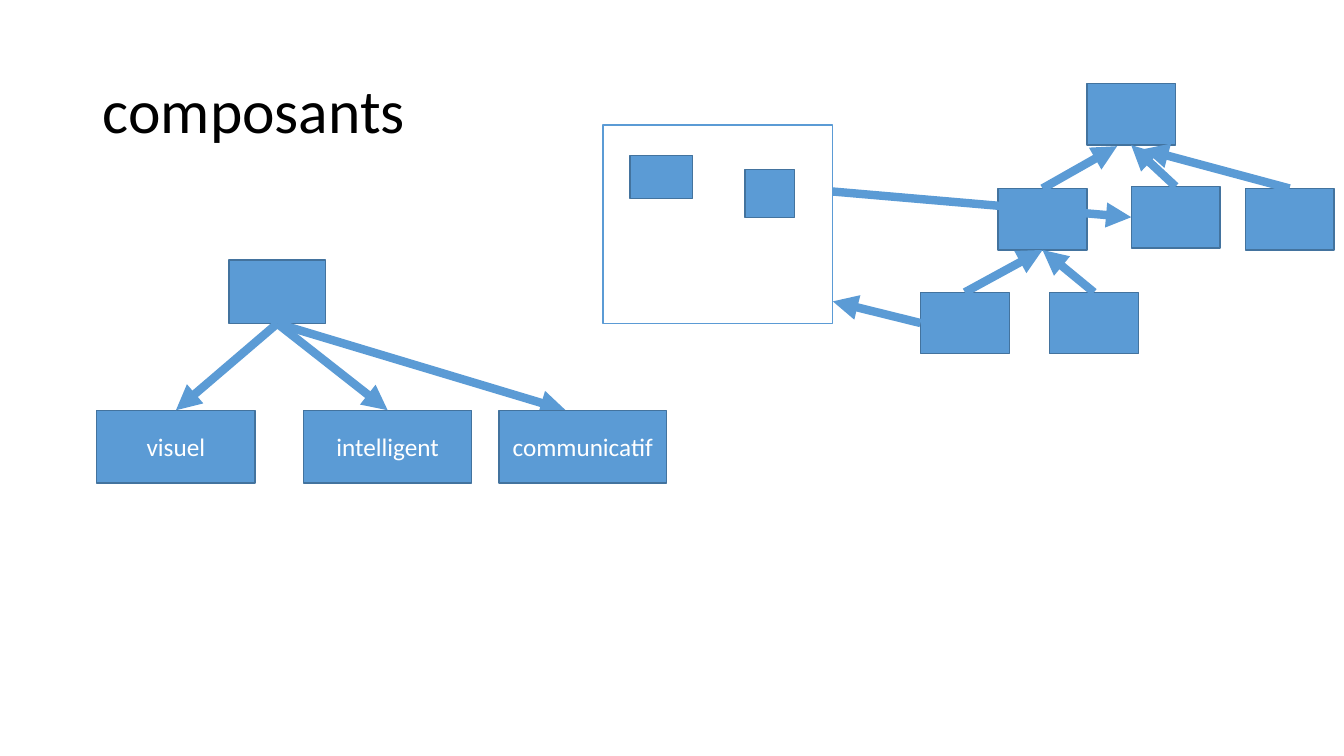
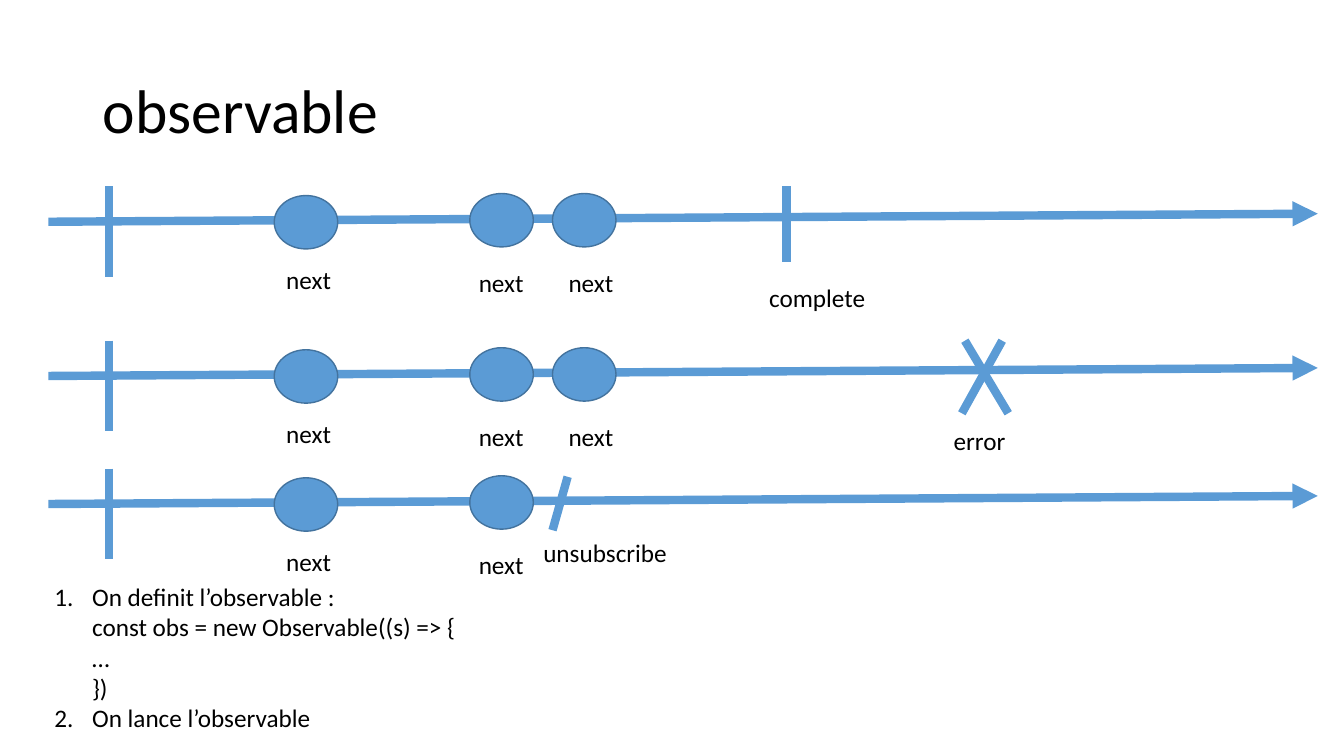
"""Build two slides: a component tree and observable timelines."""
from dataclasses import dataclass
from typing import NamedTuple, Optional, Union

import pptx
import pptx.dml.color
import pptx.enum.shapes
import pptx.enum.text
import pptx.oxml.ns
import pptx.util
from lxml import etree

PX = 9144
FONT = "Calibri"
COLORS = {"blue": "5B9BD5", "edge": "43739E", "white": "FFFFFF", "black": "000000"}
SHAPE = pptx.enum.shapes.MSO_SHAPE
ALIGN = pptx.enum.text.PP_ALIGN
ANCHOR = pptx.enum.text.MSO_ANCHOR
AUTO_SIZE = pptx.enum.text.MSO_AUTO_SIZE
TOP, LEFT, BOTTOM = 0, 1, 2


class Point(NamedTuple):
    """A position in px."""
    x: int
    y: int


class Joint(NamedTuple):
    """The middle of one side of a named box."""
    box: str
    side: int


@dataclass
class Box:
    """A rectangle or ellipse."""
    name: str
    x: int
    y: int
    w: int
    h: int
    text: str = ""
    fill: str = "blue"
    edge: str = "edge"
    kind: int = SHAPE.RECTANGLE


@dataclass
class Link:
    """A thick line between points or joints."""
    start: Union[Point, Joint]
    end: Union[Point, Joint]
    arrow: bool = True


@dataclass
class Label:
    """A one-line caption."""
    text: str
    x: int
    y: int
    w: int


@dataclass
class Timeline:
    """One stream of events and the way it ends."""
    dy: int
    count: int
    marks: list[tuple[Point, Point]]
    label: Label


NODE = (88, 61)
COMPONENTS = [
    Box("component", 227, 258, 96, 63),
    Box("visual", 96, 407, 157, 72, "visuel"),
    Box("smart", 301, 407, 167, 72, "intelligent"),
    Link(Joint("component", BOTTOM), Joint("visual", TOP)),
    Link(Joint("component", BOTTOM), Joint("smart", TOP)),
    Link(Joint("component", BOTTOM), Point(561, 407)),
    Box("talking", 495, 407, 166, 72, "communicatif"),
    Box("root", 1078, 83, *NODE),
    Box("left", 990, 187, *NODE),
    Box("middle", 1122, 185, *NODE),
    Box("right", 1235, 187, *NODE),
    Box("leaf1", 913, 290, *NODE),
    Box("leaf2", 1041, 290, *NODE),
    Link(Joint("left", TOP), Point(1108, 145)),
    Link(Joint("middle", TOP), Joint("root", BOTTOM)),
    Link(Joint("right", TOP), Point(1134, 148)),
    Link(Joint("leaf1", TOP), Joint("left", BOTTOM)),
    Link(Joint("leaf2", TOP), Joint("left", BOTTOM)),
    Box("page", 598, 124, 228, 197, fill="white", edge="blue"),
    Box("widget1", 625, 154, 62, 43),
    Box("widget2", 739, 168, 49, 48),
    Link(Joint("leaf1", LEFT), Point(826, 299)),
    Link(Point(826, 190), Joint("middle", LEFT)),
]

EVENTS = [(Point(272, 194), Point(274, 257)),
          (Point(466, 192), Point(465, 260)),
          (Point(548, 192), Point(554, 260))]
TIMELINES = [
    Timeline(0, 3, [(Point(780, 185), Point(780, 260))],
             Label("complete", 753, 275, 117)),
    Timeline(153, 3, [(Point(957, 338), Point(1000, 410)),
                      (Point(994, 338), Point(954, 410))],
             Label("error", 936, 417, 72)),
    Timeline(280, 2, [(Point(563, 473), Point(548, 526))],
             Label("unsubscribe", 529, 528, 144)),
]
STEPS = ["On definit l’observable :\nconst obs = new Observable((s) => {\n…\n})",
         "On lance l’observable"]


def rgb(name: str) -> pptx.dml.color.RGBColor:
    """Return a named colour."""
    return pptx.dml.color.RGBColor.from_string(COLORS[name])


def style(p, size: int, color: str) -> None:
    """Format every run of a paragraph."""
    for r in p.runs:
        r.font.name = FONT
        r.font.size = pptx.util.Pt(size)
        r.font.color.rgb = rgb(color)


def add_slide(prs, title: str):
    """Add a slide with its formatted title."""
    s = prs.slides.add_slide(prs.slide_layouts[5])
    sp = s.shapes.title
    sp.left, sp.top, sp.width, sp.height = (n * PX for n in (92, 40, 1150, 145))
    tf = sp.text_frame
    tf.text = title
    tf.auto_size = AUTO_SIZE.NONE
    tf.vertical_anchor = ANCHOR.MIDDLE
    p = tf.paragraphs[0]
    p.alignment = ALIGN.LEFT
    p.line_spacing = 0.9
    style(p, 44, "black")
    return s


def add_box(s, box: Box):
    """Draw a filled and outlined shape."""
    sp = s.shapes.add_shape(box.kind, *(n * PX for n in (box.x, box.y, box.w, box.h)))
    sp.shadow.inherit = False
    sp.fill.solid()
    sp.fill.fore_color.rgb = rgb(box.fill)
    sp.line.color.rgb = rgb(box.edge)
    sp.line.width = pptx.util.Pt(1)
    if box.text:
        tf = sp.text_frame
        tf.text = box.text
        tf.vertical_anchor = ANCHOR.MIDDLE
        tf.paragraphs[0].alignment = ALIGN.CENTER
        style(tf.paragraphs[0], 18, "white")
    return sp


def add_link(s, link: Link, shapes: Optional[dict] = None) -> None:
    """Draw a line, joined to boxes where its ends are joints."""
    ends = [e if isinstance(e, Point) else Point(0, 0) for e in (link.start, link.end)]
    line = s.shapes.add_connector(pptx.enum.shapes.MSO_CONNECTOR.STRAIGHT,
                                  *(n * PX for e in ends for n in e))
    if isinstance(link.start, Joint):
        line.begin_connect(shapes[link.start.box], link.start.side)
    if isinstance(link.end, Joint):
        line.end_connect(shapes[link.end.box], link.end.side)
    line.line.color.rgb = rgb("blue")
    line.line.width = pptx.util.Pt(6)
    qn = pptx.oxml.ns.qn
    props = line._element.spPr
    if link.arrow:
        etree.SubElement(props.find(qn("a:ln")), qn("a:tailEnd"), type="triangle")
    etree.SubElement(props, qn("a:effectLst"))


def add_text(s, x: int, y: int, w: int, h: int, lines: list[str]):
    """Add an unwrapped text box and return its text frame."""
    tf = s.shapes.add_textbox(*(n * PX for n in (x, y, w, h))).text_frame
    tf.word_wrap = False
    tf.auto_size = AUTO_SIZE.SHAPE_TO_FIT_TEXT
    for i, text in enumerate(lines):
        p = tf.add_paragraph() if i else tf.paragraphs[0]
        p.text = text
        style(p, 18, "black")
    return tf


def add_label(s, label: Label) -> None:
    """Write a caption."""
    add_text(s, label.x, label.y, label.w, 40, [label.text])


def add_timeline(s, row: Timeline) -> None:
    """Draw an arrow with its events, end marks and captions."""
    dy = row.dy
    add_link(s, Link(Point(48, 220 + dy), Point(1307, 212 + dy)))
    add_link(s, Link(Point(108, 185 + dy), Point(108, 275 + dy), False))
    for dot, caption in EVENTS[:row.count]:
        add_box(s, Box("event", dot.x, dot.y + dy, 63, 53, kind=SHAPE.OVAL))
        add_label(s, Label("next", caption.x, caption.y + dy, 65))
    for start, end in row.marks:
        add_link(s, Link(start, end, False))
    add_label(s, row.label)


def add_steps(s) -> None:
    """Write the numbered steps."""
    qn = pptx.oxml.ns.qn
    for p in add_text(s, 44, 572, 423, 162, STEPS).paragraphs:
        props = p._p.get_or_add_pPr()
        props.set("marL", "342900")
        props.set("indent", "-342900")
        etree.SubElement(props, qn("a:buFont"), typeface="+mj-lt")
        etree.SubElement(props, qn("a:buAutoNum"), type="arabicPeriod")


def main() -> None:
    """Build and save the presentation."""
    prs = pptx.Presentation()
    prs.slide_width, prs.slide_height = 1333 * PX, 750 * PX

    s = add_slide(prs, "composants")
    shapes = {}
    for item in COMPONENTS:
        if isinstance(item, Box):
            shapes[item.name] = add_box(s, item)
        else:
            add_link(s, item, shapes)

    s = add_slide(prs, "observable")
    for row in TIMELINES:
        add_timeline(s, row)
    add_steps(s)
    prs.save("out.pptx")


if __name__ == "__main__":
    main()
